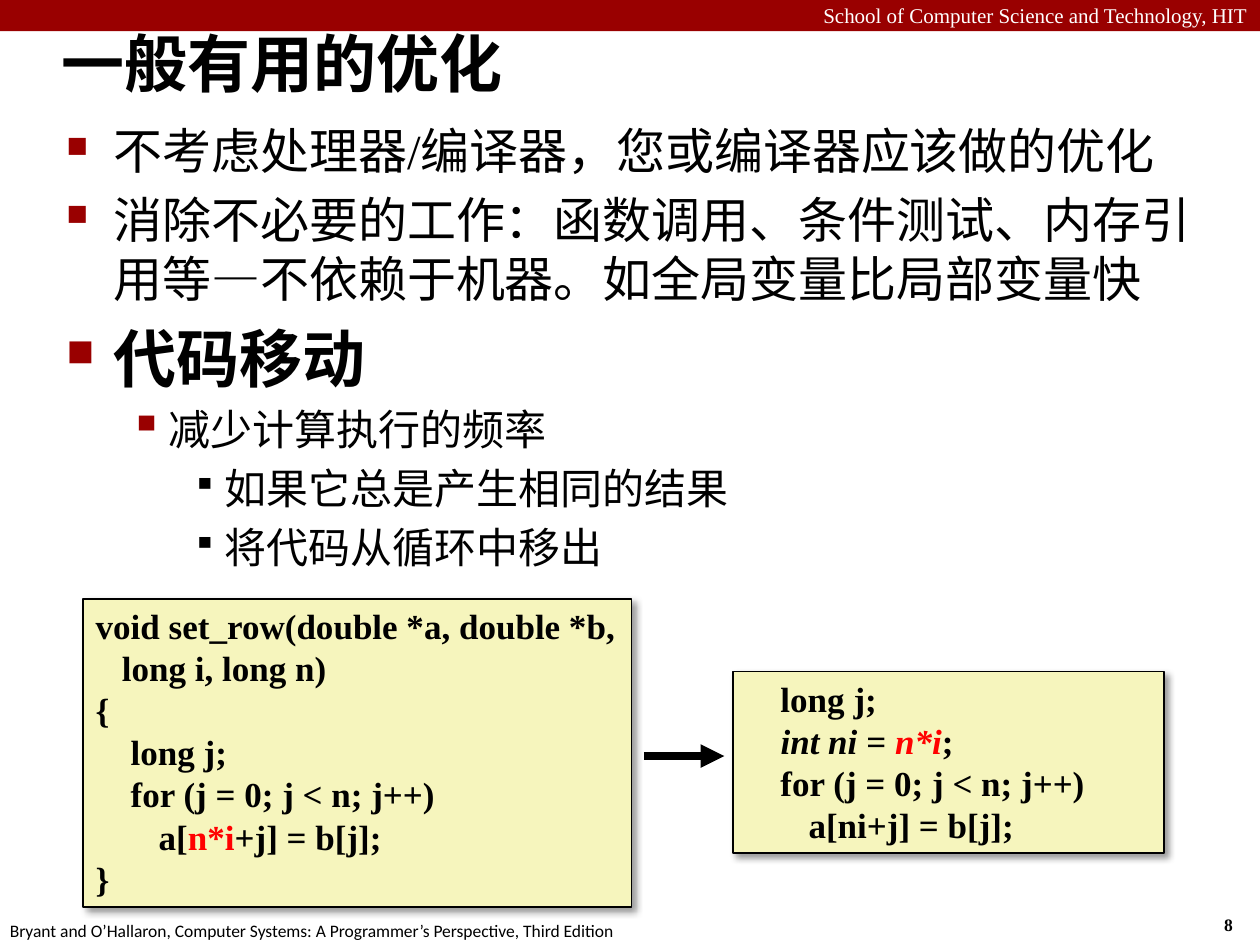
"""Build the slide on generally useful optimisations and code motion."""
import pptx
import pptx.dml.color
import pptx.enum.shapes
import pptx.enum.text
import pptx.oxml
import pptx.oxml.ns
import pptx.util

SERIF, SANS = "Times New Roman", "Calibri"
BLACK, WHITE, RED, MAROON, CREAM = "000000", "FFFFFF", "FF0000", "990000", "F6F5BD"
ALIGN = pptx.enum.text.PP_ALIGN
ANCHOR = pptx.enum.text.MSO_ANCHOR
SHAPES = pptx.enum.shapes.MSO_SHAPE
DRAWING = pptx.oxml.ns.nsdecls("a")

HEADER = "School of Computer Science and Technology, HIT"
FOOTER = "Bryant and O’Hallaron, Computer Systems: A Programmer’s Perspective, Third Edition"
NUMBER = "8"
TITLE = "一般有用的优化"

LEVELS = [
    {"margin": 0.95, "hang": 0.95, "sign": "■", "percent": 60, "colour": MAROON},
    {"margin": 2.06, "hang": 0.79, "sign": "▪", "percent": 110, "colour": MAROON},
    {"margin": 3.18, "hang": 0.64, "sign": "▪", "percent": 80, "colour": BLACK},
]
POINTS = [
    (0, 28, False, "不考虑处理器/编译器，您或编译器应该做的优化"),
    (0, 28, False, "消除不必要的工作：函数调用、条件测试、内存引用等—不依赖于机器。如全局变量比局部变量快"),
    (0, 36, True, "代码移动"),
    (1, 24, False, "减少计算执行的频率"),
    (2, 24, False, "如果它总是产生相同的结果"),
    (2, 24, False, "将代码从循环中移出"),
]

CODE_BEFORE = [
    [("void set_row(double *a, double *b,", BLACK, False)],
    [("   long i, long n)", BLACK, False)],
    [("{", BLACK, False)],
    [("    long j;", BLACK, False)],
    [("    for (j = 0; j < n; j++)", BLACK, False)],
    [("\ta[", BLACK, False), ("n*i", RED, False), ("+j] = b[j];", BLACK, False)],
    [("}", BLACK, False)],
]
CODE_AFTER = [
    [("    long j;", BLACK, False)],
    [("    ", BLACK, False), ("int ni = ", BLACK, True), ("n*i", RED, True), (";", BLACK, False)],
    [("    for (j = 0; j < n; j++)", BLACK, False)],
    [("\ta[ni+j] = b[j];", BLACK, False)],
]


def colour(value):
    return pptx.dml.color.RGBColor.from_string(value)


def lengths(*values):
    return [pptx.util.Cm(value) for value in values]


def style(span, size, name=SERIF, ink=BLACK, bold=False, italic=False):
    span.font.size = pptx.util.Pt(size)
    span.font.name = name
    span.font.bold = bold
    span.font.italic = italic
    span.font.color.rgb = colour(ink)


def add_label(page, place, text, size, wrap=False, align=ALIGN.LEFT, **look):
    box = page.shapes.add_textbox(*lengths(*place))
    box.text_frame.word_wrap = wrap
    box.text_frame.text = text
    para = box.text_frame.paragraphs[0]
    para.alignment = align
    style(para.runs[0], size, **look)


def add_rectangle(page, place, fill):
    box = page.shapes.add_shape(SHAPES.RECTANGLE, *lengths(*place))
    box.shadow.inherit = False
    box.fill.solid()
    box.fill.fore_color.rgb = colour(fill)
    box.line.fill.background()
    return box


def add_title(page):
    title = page.shapes.title
    title.left, title.top, title.width, title.height = lengths(0.99, 0.2, 24.41, 2.11)
    frame = title.text_frame
    frame.auto_size = pptx.enum.text.MSO_AUTO_SIZE.NONE
    frame.vertical_anchor = ANCHOR.MIDDLE
    frame.text = TITLE
    frame.paragraphs[0].alignment = ALIGN.LEFT
    style(frame.paragraphs[0].runs[0], 36, name=SANS, bold=True)


def add_bullet(para, level):
    properties = para._p.get_or_add_pPr()
    properties.set("marL", str(pptx.util.Cm(level["margin"])))
    properties.set("indent", str(-pptx.util.Cm(level["hang"])))
    for markup in (
        f'<a:buClr {DRAWING}><a:srgbClr val="{level["colour"]}"/></a:buClr>',
        f'<a:buSzPct {DRAWING} val="{level["percent"] * 1000}"/>',
        f'<a:buChar {DRAWING} char="{level["sign"]}"/>',
    ):
        properties.append(pptx.oxml.parse_xml(markup))


def add_points(page):
    frame = page.shapes.add_textbox(*lengths(1.09, 2.31, 23.88, 16)).text_frame
    frame.word_wrap = True
    frame.text = "\n".join(text for *_, text in POINTS)
    for index, (para, (level, size, bold, _)) in enumerate(zip(frame.paragraphs, POINTS)):
        para.level = level
        add_bullet(para, LEVELS[level])
        if index:
            para.space_before = pptx.util.Pt(size * 0.2)
        style(para.runs[0], size, bold=bold)


def add_code(page, place, lines, wrap):
    box = add_rectangle(page, place, CREAM)
    box.line.color.rgb = colour(BLACK)
    box.line.width = pptx.util.Pt(1)
    effects = box._element.spPr.find(pptx.oxml.ns.qn("a:effectLst"))
    effects.append(pptx.oxml.parse_xml(
        f'<a:outerShdw {DRAWING} blurRad="50800" dist="38100" dir="2700000" algn="tl" rotWithShape="0">'
        f'<a:srgbClr val="{BLACK}"><a:alpha val="40000"/></a:srgbClr></a:outerShdw>'))
    frame = box.text_frame
    frame.word_wrap = wrap
    frame.vertical_anchor = ANCHOR.TOP
    for index, line in enumerate(lines):
        para = frame.add_paragraph() if index else frame.paragraphs[0]
        para.alignment = ALIGN.LEFT
        for text, ink, italic in line:
            span = para.add_run()
            span.text = text
            style(span, 20, ink=ink, bold=True, italic=italic)


def add_arrow(page):
    arrow = page.shapes.add_connector(
        pptx.enum.shapes.MSO_CONNECTOR.STRAIGHT, *lengths(12.98, 15.24, 14.6, 15.24))
    arrow.line.color.rgb = colour(BLACK)
    arrow.line.width = pptx.util.Pt(4.5)
    arrow.line._get_or_add_ln().append(
        pptx.oxml.parse_xml(f'<a:tailEnd {DRAWING} type="triangle"/>'))
    arrow._element.spPr.append(pptx.oxml.parse_xml(f"<a:effectLst {DRAWING}/>"))


def main():
    deck = pptx.Presentation()
    deck.slide_width, deck.slide_height = lengths(25.4, 19.05)
    page = deck.slides.add_slide(deck.slide_layouts[5])
    add_rectangle(page, (0, 0, 25.4, 0.63), MAROON)
    add_label(page, (0, -0.08, 25.4, 0.76), HEADER, 12, wrap=True, align=ALIGN.RIGHT, ink=WHITE)
    add_label(page, (24.43, 18.31, 0.94, 0.69), NUMBER, 10, bold=True)
    add_label(page, (-0.05, 18.42, 12.9, 0.69), FOOTER, 10, name=SANS)
    add_title(page)
    add_points(page)
    add_code(page, (14.78, 13.54, 8.69, 3.66), CODE_AFTER, True)
    add_arrow(page)
    add_code(page, (1.68, 12.07, 11.05, 6.22), CODE_BEFORE, False)
    deck.save("out.pptx")


if __name__ == "__main__":
    main()
